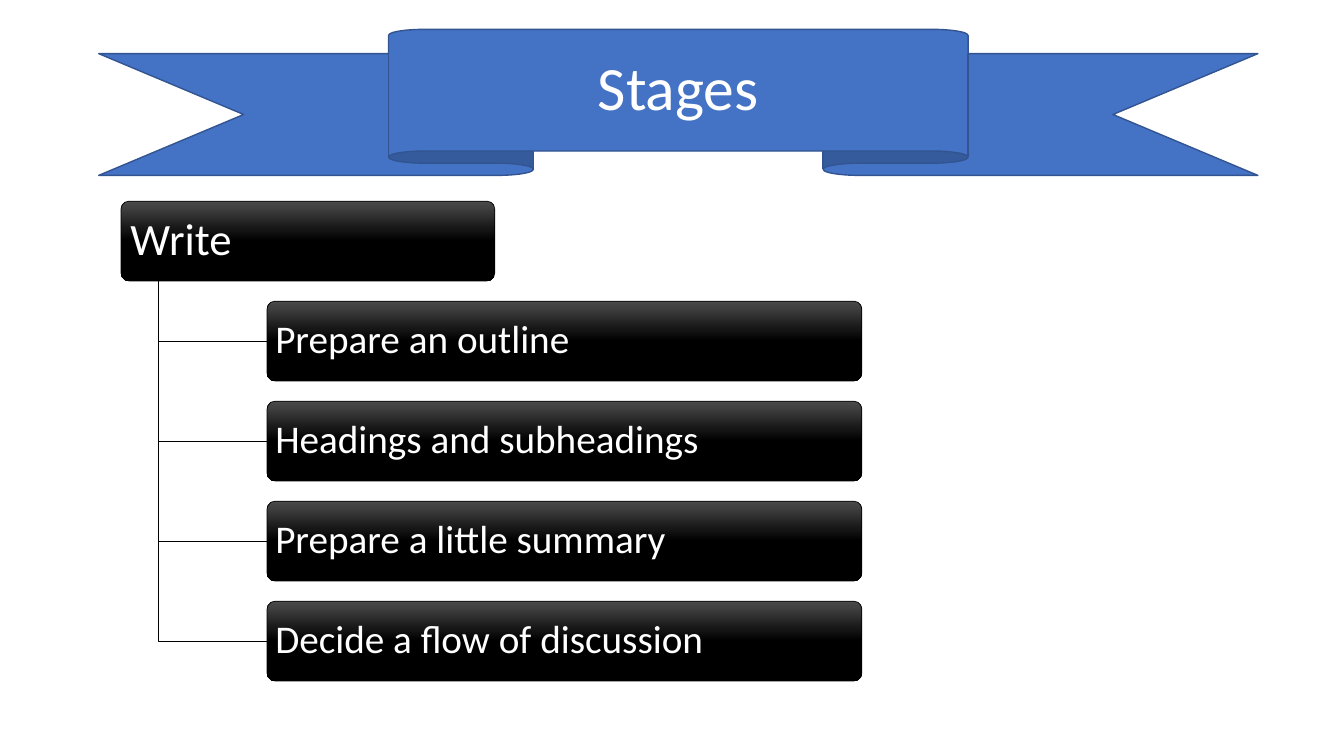
"""Build the "Stages" slide: a ribbon title above a hierarchy of writing steps."""
from copy import deepcopy

from pptx import Presentation
from pptx.dml.color import RGBColor
from pptx.enum.shapes import MSO_SHAPE as Shape
from pptx.enum.text import MSO_ANCHOR as Anchor, PP_ALIGN as Align
from pptx.util import Cm, Pt

WHITE = RGBColor(0xFF, 0xFF, 0xFF)
BLACK = RGBColor(0x00, 0x00, 0x00)
CHARCOAL = RGBColor(0x4B, 0x4B, 0x4B)
BLUE = RGBColor(0x44, 0x72, 0xC4)
DARK_BLUE = RGBColor(0x32, 0x54, 0x91)

STEPS = [
    "Prepare an outline",
    "Headings and subheadings",
    "Prepare a little summary",
    "Decide a flow of discussion",
]
BOX_TOP, BOX_HEIGHT, BOX_PITCH = 5.07, 2.01, 2.52
HEAD_LEFT, HEAD_WIDTH = 3.05, 9.42
STEP_LEFT, STEP_WIDTH = 6.73, 14.99
TRUNK_LEFT = 3.99


def style_outline(shape, color, width):
    shape.shadow.inherit = False
    shape.line.color.rgb = color
    shape.line.width = Pt(width)


def write_text(shape, text, size, align):
    frame = shape.text_frame
    frame.word_wrap = True
    frame.vertical_anchor = Anchor.MIDDLE
    paragraph = frame.paragraphs[0]
    paragraph.alignment = align
    paragraph.line_spacing = 0.9
    run = paragraph.add_run()
    run.text = text
    for name, value in {"name": "Calibri", "size": Pt(size)}.items():
        setattr(run.font, name, value)
    run.font.color.rgb = WHITE


presentation = Presentation()
presentation.slide_width = Cm(33.87)
presentation.slide_height = Cm(19.05)
slide = presentation.slides.add_slide(presentation.slide_layouts[6])

boxes = [("Write", HEAD_LEFT, HEAD_WIDTH, 32, 0.18)]
boxes += [(step, STEP_LEFT, STEP_WIDTH, 28, 0.15) for step in STEPS]

for row, (text, left, width, size, side_margin) in enumerate(boxes):
    top = BOX_TOP + row * BOX_PITCH
    if row > 0:
        trunk_top = Cm(BOX_TOP + BOX_HEIGHT)
        middle = Cm(top + BOX_HEIGHT / 2)
        builder = slide.shapes.build_freeform(Cm(TRUNK_LEFT), trunk_top)
        builder.add_line_segments(
            [(Cm(TRUNK_LEFT), middle), (Cm(STEP_LEFT), middle)], close=False
        )
        branch = builder.convert_to_shape()
        branch.fill.background()
        style_outline(branch, BLACK, 0.5)

    box = slide.shapes.add_shape(
        Shape.ROUNDED_RECTANGLE, Cm(left), Cm(top), Cm(width), Cm(BOX_HEIGHT)
    )
    box.adjustments[0] = 0.1
    style_outline(box, BLACK, 0.5)
    box.fill.gradient()
    box.fill.gradient_angle = 270
    stop_list = box._element.xpath(".//a:gsLst")[0]
    stop_list.append(deepcopy(stop_list[-1]))
    stops = [(0, CHARCOAL), (0.5, BLACK), (1, BLACK)]
    for stop, (position, color) in zip(box.fill.gradient_stops, stops):
        stop.position = position
        stop.color.rgb = color
    margins = {
        "margin_left": side_margin,
        "margin_right": side_margin,
        "margin_top": 0.1,
        "margin_bottom": 0.1,
    }
    for name, value in margins.items():
        setattr(box.text_frame, name, Cm(value))
    write_text(box, text, size, Align.LEFT)

ribbon = slide.shapes.add_shape(
    Shape.UP_RIBBON, Cm(2.49), Cm(0.74), Cm(29.21), Cm(3.68)
)
ribbon.fill.solid()
ribbon.fill.fore_color.rgb = BLUE
style_outline(ribbon, DARK_BLUE, 1)
write_text(ribbon, "Stages", 44, Align.CENTER)

presentation.save("out.pptx")
